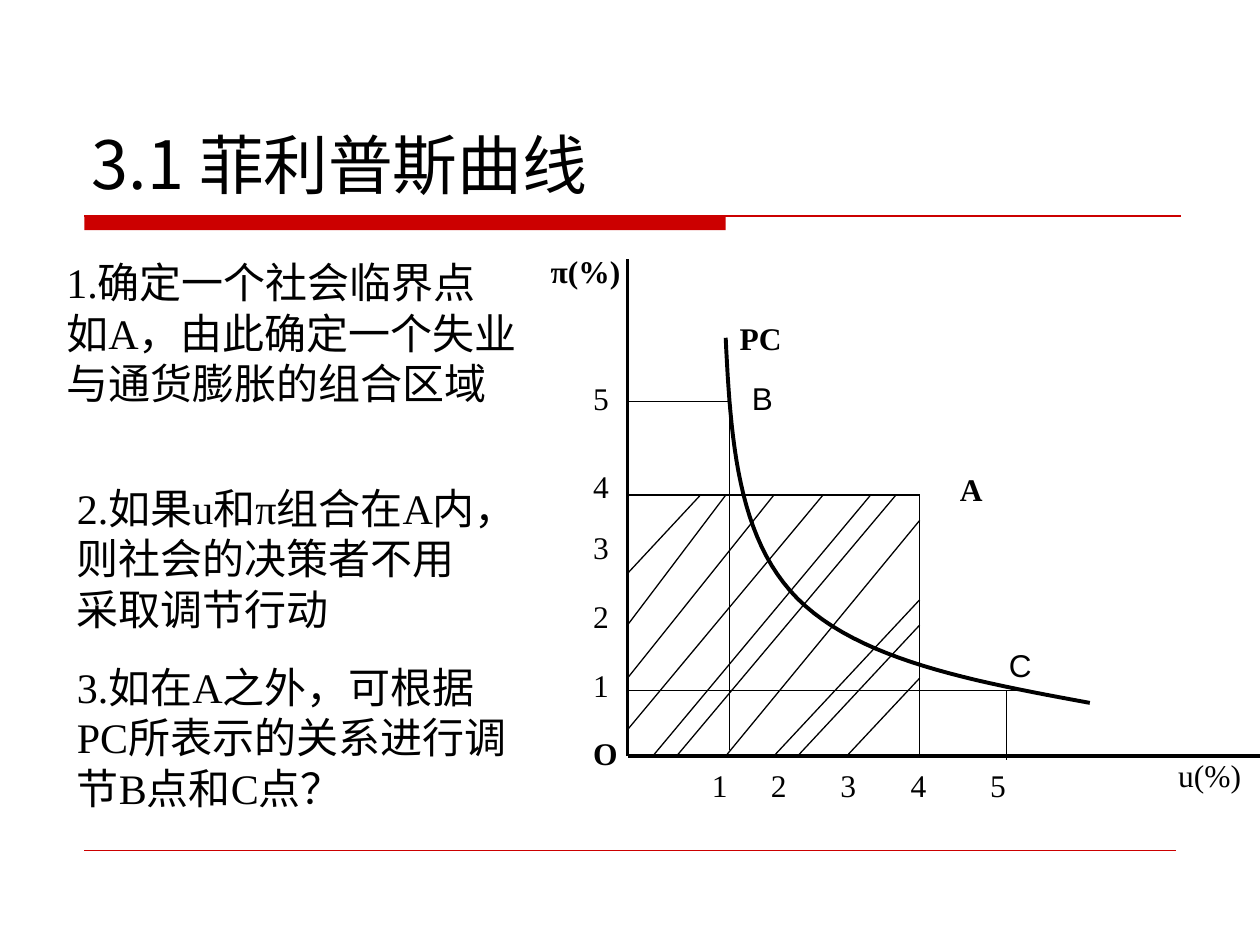
from lxml import etree
from pptx import Presentation
from pptx.dml.color import RGBColor
from pptx.enum.shapes import MSO_CONNECTOR, MSO_SHAPE
from pptx.enum.text import MSO_ANCHOR, MSO_AUTO_SIZE
from pptx.oxml.ns import qn
from pptx.util import Cm, Pt

STRAIGHT = MSO_CONNECTOR.STRAIGHT
RECTANGLE = MSO_SHAPE.RECTANGLE
BOTTOM = MSO_ANCHOR.BOTTOM
FIT_TEXT, FIXED = MSO_AUTO_SIZE.SHAPE_TO_FIT_TEXT, MSO_AUTO_SIZE.NONE

COLORS = {"ink": "000000", "accent": "CC0000"}
SERIF, SANS, CJK = "Times New Roman", "Arial", "Noto Sans CJK SC"

# Diagram geometry in centimetres
LEFT, BASE = 12.65, 15.24
AREA_RIGHT, AREA_TOP = 18.54, 9.98
B_X, B_Y = 14.71, 8.1
C_X, C_Y = 20.29, 13.92


def bezier(start, first, second, end, steps=24):
    """Return points along a cubic curve, both ends included."""
    points = []
    for step in range(steps + 1):
        t = step / steps
        weights = ((1 - t) ** 3, 3 * t * (1 - t) ** 2, 3 * t ** 2 * (1 - t), t ** 3)
        points.append(tuple(
            sum(weight * value for weight, value in zip(weights, axis))
            for axis in zip(start, first, second, end)))
    return points


class SlideWriter:
    """Holds the current slide and the look shared by its elements."""

    def __init__(self, page):
        self.page = page

    def color(self, name):
        return RGBColor.from_string(COLORS[name])

    def line(self, x1, y1, x2, y2, width=0.75, color="ink"):
        link = self.page.shapes.add_connector(STRAIGHT, Cm(x1), Cm(y1), Cm(x2), Cm(y2))
        link.line.width = Pt(width)
        link.line.color.rgb = self.color(color)
        etree.SubElement(link._element.spPr, qn("a:effectLst"))

    def bar(self, left, top, width, height, color):
        shape = self.page.shapes.add_shape(RECTANGLE, Cm(left), Cm(top), Cm(width), Cm(height))
        shape.shadow.inherit = False
        shape.fill.solid()
        shape.fill.fore_color.rgb = self.color(color)
        shape.line.fill.background()

    def curve(self, points, width):
        corners = [(Cm(x), Cm(y)) for x, y in points]
        builder = self.page.shapes.build_freeform(*corners[0])
        builder.add_line_segments(corners[1:], close=False)
        shape = builder.convert_to_shape()
        shape.shadow.inherit = False
        shape.fill.background()
        shape.line.width = Pt(width)
        shape.line.color.rgb = self.color("ink")

    def style(self, span, size, font, bold=False):
        span.font.size = Pt(size)
        span.font.name = font
        span.font.bold = bold
        span.font.color.rgb = self.color("ink")
        etree.SubElement(span._r.get_or_add_rPr(), qn("a:ea"), typeface=CJK)

    def text(self, words, left, top, width, height=1.02, size=18, font=SERIF,
             bold=False, wrap=True):
        box = self.page.shapes.add_textbox(Cm(left), Cm(top), Cm(width), Cm(height))
        frame = box.text_frame
        frame.word_wrap = wrap
        frame.auto_size = FIT_TEXT
        frame.text = words
        self.style(frame.paragraphs[0].runs[0], size, font, bold)
        return frame

    def title(self, number, words):
        frame = self.text(number, 1.6, 0.84, 22.23, 3.38, size=38, font=CJK)
        frame.auto_size = FIXED
        frame.vertical_anchor = BOTTOM
        span = frame.paragraphs[0].add_run()
        span.text = words
        self.style(span, 37, CJK)


def draw_frame(writer):
    writer.bar(1.7, 4.34, 12.93, 0.3, "accent")
    writer.line(1.7, 4.35, 23.8, 4.35, width=1, color="accent")
    writer.line(1.7, 17.14, 23.7, 17.14, width=0.25, color="accent")
    writer.title("3.1 ", "菲利普斯曲线")


def draw_notes(writer):
    notes = [
        ("1.确定一个社会临界点如A，由此确定一个失业与通货膨胀的组合区域", 1.09, 5.05, 9.6, 4.32),
        ("2.如果u和π组合在A内，则社会的决策者不用采取调节行动", 1.3, 9.6, 8.61, 3.3),
        ("3.如在A之外，可根据PC所表示的关系进行调节B点和C点？", 1.3, 13.21, 9.2, 3.3),
    ]
    for note in notes:
        writer.text(*note, size=24)


def draw_area(writer):
    """Draw the hatched region bounded by the critical point A."""
    writer.line(LEFT, AREA_TOP, AREA_RIGHT, AREA_TOP)
    writer.line(AREA_RIGHT, AREA_TOP, AREA_RIGHT, BASE)
    for y, x in [(11.56, 14.12), (12.6, 14.63), (13.67, 15.6), (14.71, 16.59)]:
        writer.line(LEFT, y, x, AREA_TOP)
    for low_x, high_x in [(13.16, 17.55), (13.64, 18.06)]:
        writer.line(low_x, BASE, high_x, AREA_TOP)
    for x, y in [(14.63, 10.49), (15.6, 12.09), (16.08, 12.6), (17.07, 13.67)]:
        writer.line(x, BASE, AREA_RIGHT, y)


def draw_diagram(writer):
    writer.line(LEFT, BASE, 25.4, BASE, width=2.25)
    writer.line(LEFT, BASE, LEFT, 5.23, width=2.25)
    middle = (16.08, 12.07)
    upper = bezier((14.63, 6.81), (14.73, 8.84), (14.86, 10.85), middle)
    lower = bezier(middle, (17.32, 13.31), (19.63, 13.74), (21.97, 14.17))
    writer.curve(upper + lower[1:], 2.25)
    draw_area(writer)

    writer.line(B_X, 8.31, B_X, 15.11)
    writer.line(B_X, B_Y, LEFT, B_Y)
    writer.line(LEFT, C_Y, 20.5, C_Y)
    writer.line(C_X, C_Y, C_X, 15.32)

    x_ticks = [14.1, 15.29, 16.69, 18.11, 19.71]
    y_ticks = [13.31, 11.91, 10.52, 9.3, 7.52]
    for value, (left, top) in enumerate(zip(x_ticks, y_ticks), start=1):
        writer.text(str(value), left, 15.32, 0.99)
        writer.text(str(value), 11.71, top, 0.99)

    writer.text("O", 11.71, 14.68, 0.99, bold=True, wrap=False)
    writer.text("π(%)", 10.85, 4.95, 2.2, bold=True)
    writer.text("u(%)", 23.5, 15.11, 1.9)
    writer.text("PC", 14.66, 6.3, 3.4, bold=True)
    writer.text("A", 19.1, 9.35, 0.97, bold=True, wrap=False)
    writer.text("B", 14.91, 7.52, 2.21, font=SANS)
    writer.text("C", 20.09, 12.9, 2.21, font=SANS)


def main():
    deck = Presentation()
    deck.slide_width, deck.slide_height = Cm(25.4), Cm(19.05)
    writer = SlideWriter(deck.slides.add_slide(deck.slide_layouts[6]))
    draw_frame(writer)
    draw_diagram(writer)
    draw_notes(writer)
    deck.save("out.pptx")


if __name__ == "__main__":
    main()
